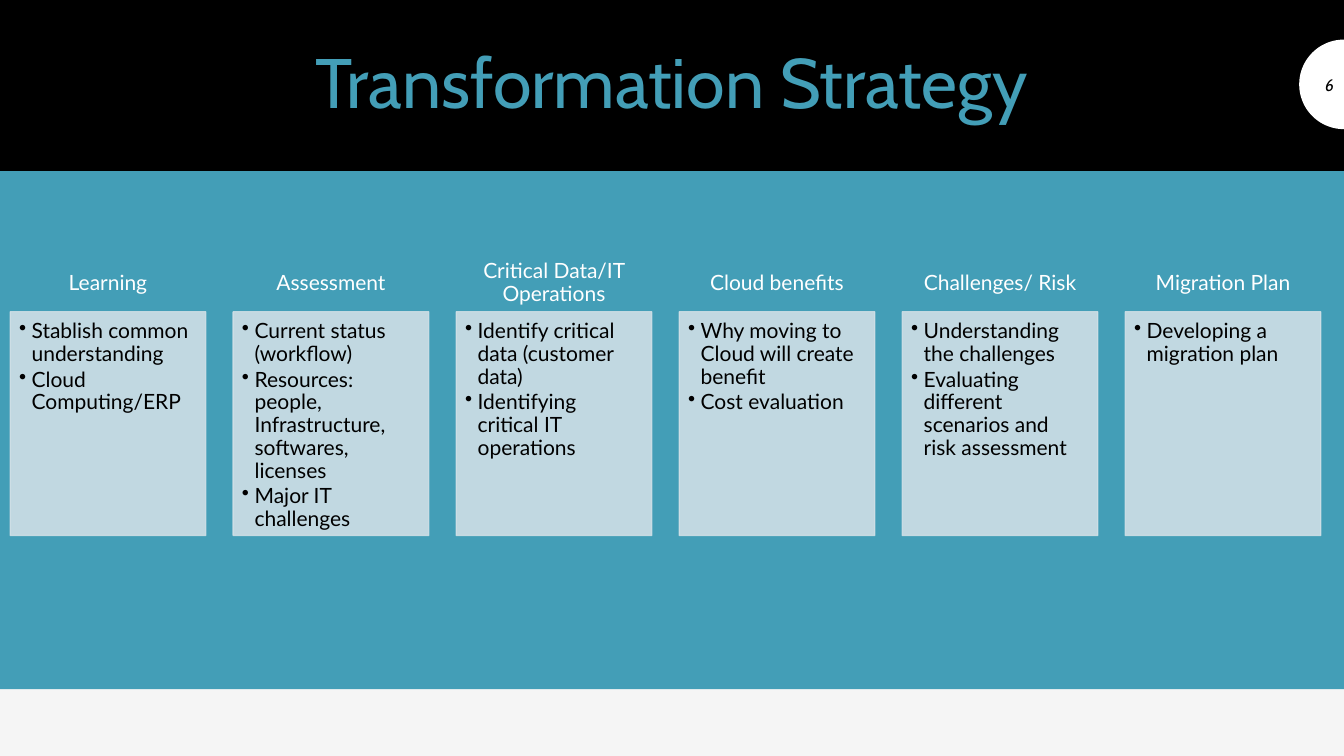
from dataclasses import dataclass
from math import cos, pi, sin

from lxml.etree import SubElement
from pptx import Presentation
from pptx.dml.color import RGBColor as Color
from pptx.enum.shapes import MSO_SHAPE as Preset
from pptx.enum.text import MSO_ANCHOR as Anchor, MSO_AUTO_SIZE as AutoSize, PP_ALIGN as Align
from pptx.oxml.ns import qn
from pptx.util import Pt


@dataclass(frozen=True)
class Theme:
    page: str = "F5F5F5"
    teal: str = "439EB7"
    pale: str = "CFDFE6"
    black: str = "000000"
    white: str = "FFFFFF"
    heading_font: str = "Cabin"
    body_font: str = "Lato"
    title_size: float = 50
    body_size: float = 15
    number_size: float = 12


theme = Theme()


def paint(shape, fill, line=None, opacity=None):
    shape.shadow.inherit = False
    shape.fill.solid()
    shape.fill.fore_color.rgb = Color.from_string(fill)
    if line:
        shape.line.color.rgb = Color.from_string(line)
        shape.line.width = Pt(1)
    else:
        shape.line.fill.background()
    if opacity:
        for color in shape._element.spPr.iter(qn("a:srgbClr")):
            SubElement(color, qn("a:alpha"), val=str(opacity * 1000))


def write(box, text, font, size, color, align=Align.LEFT, anchor=Anchor.MIDDLE,
          insets=(7.2, 3.6, 7.2, 3.6), spacing=0.9, after=0, indent=0, italic=False):
    frame = box.text_frame
    frame.word_wrap = True
    frame.auto_size = AutoSize.NONE
    frame.vertical_anchor = anchor
    frame.margin_left, frame.margin_top, frame.margin_right, frame.margin_bottom = map(Pt, insets)
    frame.text = text
    for para in frame.paragraphs:
        if indent:
            properties = para._p.get_or_add_pPr()
            properties.set("marL", str(Pt(indent)))
            properties.set("indent", str(-Pt(indent)))
            SubElement(properties, qn("a:buChar"), char="•")
        para.alignment = align
        para.line_spacing = spacing
        para.space_before = Pt(0)
        para.space_after = Pt(after)
        for span in para.runs:
            span.font.name = font
            span.font.size = Pt(size)
            span.font.italic = italic
            span.font.color.rgb = Color.from_string(color)


deck = Presentation()
deck.slide_width, deck.slide_height = Pt(960), Pt(540)
page = deck.slides.add_slide(deck.slide_layouts[5])
page.background.fill.solid()
page.background.fill.fore_color.rgb = Color.from_string(theme.page)
shapes = page.shapes

content_band = shapes.add_shape(Preset.RECTANGLE, Pt(0), Pt(121), Pt(960), Pt(371.3))
paint(content_band, theme.teal)
title_band = shapes.add_shape(Preset.RECTANGLE, Pt(0), Pt(0), Pt(960), Pt(121.5))
paint(title_band, theme.black, line=theme.black)

center_x, center_y, radius, steps = 960, 60.3, 32, 52
angles = [pi / 2 + pi * step / steps for step in range(steps + 1)]
arc = [(Pt(center_x + radius * cos(angle)), Pt(center_y + radius * sin(angle))) for angle in angles]
outline = shapes.build_freeform(*arc[0])
outline.add_line_segments(arc[1:], close=True)
paint(outline.convert_to_shape(), theme.white)

stages = [
    ("Learning", ["Stablish common understanding", "Cloud Computing/ERP"]),
    ("Assessment", ["Current status (workflow)",
                    "Resources: people, Infrastructure, softwares, licenses",
                    "Major IT challenges"]),
    ("Critical Data/IT Operations", ["Identify critical data (customer data)",
                                     "Identifying critical IT operations"]),
    ("Cloud benefits", ["Why moving to Cloud will create benefit", "Cost evaluation"]),
    ("Challenges/ Risk", ["Understanding the challenges",
                          "Evaluating different scenarios and risk assessment"]),
    ("Migration Plan", ["Developing a migration plan"]),
]
first_left, pitch, column_width = 7.3, 159.3, 139.7
heading_top, heading_height, list_height = 182, 40.7, 159.8

for index, (heading, points) in enumerate(stages):
    left = Pt(first_left + index * pitch)
    heading_box = shapes.add_shape(Preset.RECTANGLE, left, Pt(heading_top),
                                   Pt(column_width), Pt(heading_height))
    paint(heading_box, theme.teal, line=theme.teal)
    write(heading_box, heading, theme.body_font, theme.body_size, theme.white,
          align=Align.CENTER, insets=(8.4, 4.8, 8.4, 4.8))
    list_box = shapes.add_shape(Preset.RECTANGLE, left, Pt(heading_top + heading_height),
                                Pt(column_width), Pt(list_height))
    paint(list_box, theme.pale, line=theme.pale, opacity=90)
    write(list_box, "\n".join(points), theme.body_font, theme.body_size, theme.black,
          anchor=Anchor.TOP, insets=(6.3, 6.3, 8.4, 9.45), after=2.25, indent=9)

number_box = shapes.add_textbox(Pt(928), Pt(46.3), Pt(32), Pt(28.8))
write(number_box, "6", theme.heading_font, theme.number_size, theme.black,
      align=Align.RIGHT, spacing=1.0, italic=True)

title = shapes.title
title.left, title.top, title.width, title.height = Pt(59.5), Pt(22), Pt(841), Pt(79.2)
write(title, "Transformation Strategy", theme.heading_font, theme.title_size, theme.teal,
      align=Align.CENTER)
shapes._spTree.append(title._element)

deck.save("out.pptx")
